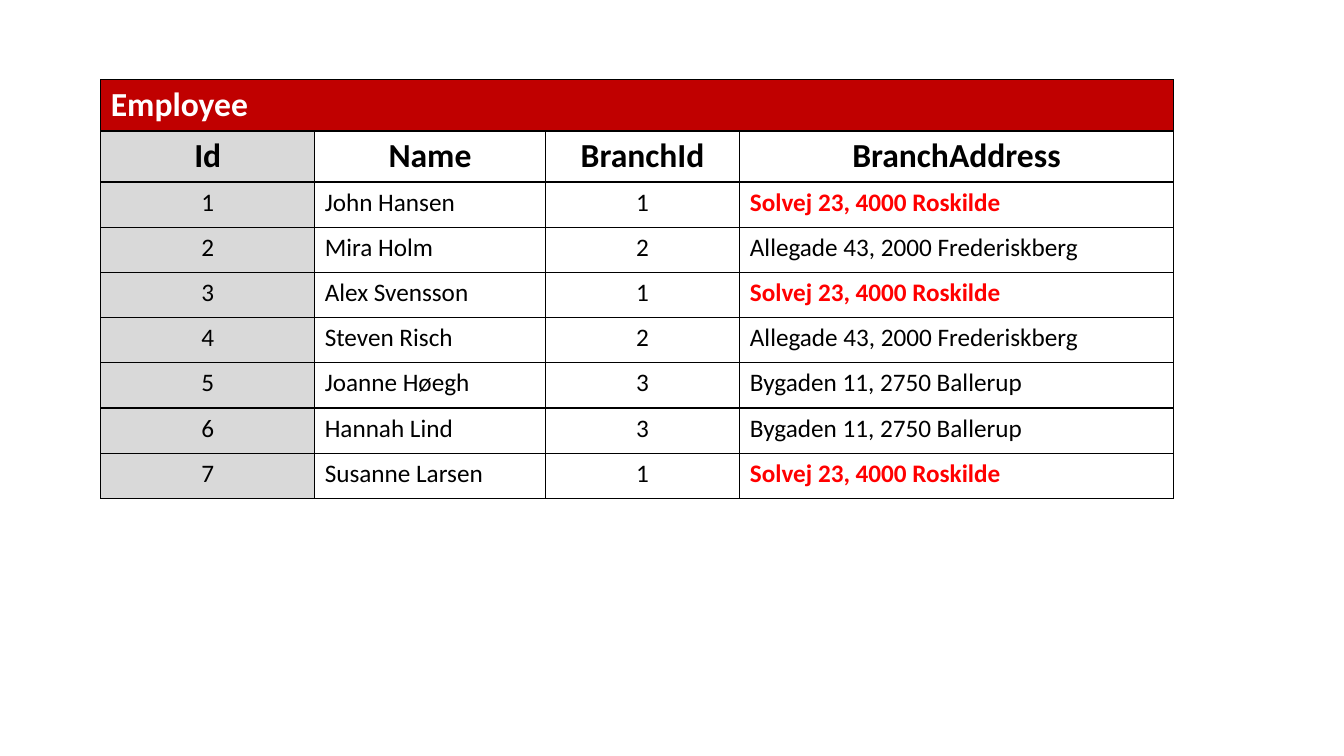
"""Build a slide with the Employee table, its repeated branch address marked in red."""
from dataclasses import dataclass

from lxml import etree
from pptx import Presentation
from pptx.dml.color import RGBColor
from pptx.enum.text import PP_ALIGN
from pptx.oxml.ns import qn
from pptx.util import Pt

LEFT, CENTER = PP_ALIGN.LEFT, PP_ALIGN.CENTER


@dataclass(frozen=True)
class Theme:
    font: str = "Calibri"
    heading_size: int = 24
    body_size: int = 18
    black: str = "000000"
    white: str = "FFFFFF"
    title_fill: str = "C00000"
    key_fill: str = "D9D9D9"
    marked: str = "FF0000"
    border_width: int = 1


THEME = Theme()
TITLE = "Employee"
HEADINGS = ["Id", "Name", "BranchId", "BranchAddress"]
ADDRESSES = {
    1: "Solvej 23, 4000 Roskilde",
    2: "Allegade 43, 2000 Frederiskberg",
    3: "Bygaden 11, 2750 Ballerup",
}
MARKED_BRANCH = 1
EMPLOYEES = [
    ("John Hansen", 1),
    ("Mira Holm", 2),
    ("Alex Svensson", 1),
    ("Steven Risch", 2),
    ("Joanne Høegh", 3),
    ("Hannah Lind", 3),
    ("Susanne Larsen", 1),
]
COLUMN_WIDTHS = [152.8, 164.8, 138.9, 309.6]
COLUMN_ALIGNMENTS = [CENTER, LEFT, CENTER, LEFT]
HEADING_HEIGHT, BODY_HEIGHT = 36.5, 32.3


def style_cell(cell, fill):
    """Fill a cell, or leave it clear, and draw its four borders."""
    if fill:
        cell.fill.solid()
        cell.fill.fore_color.rgb = RGBColor.from_string(fill)
    else:
        cell.fill.background()
    properties = cell._tc.get_or_add_tcPr()
    for position, side in enumerate(("a:lnL", "a:lnR", "a:lnT", "a:lnB")):
        line = etree.Element(qn(side), w=str(Pt(THEME.border_width)))
        solid = etree.SubElement(line, qn("a:solidFill"))
        etree.SubElement(solid, qn("a:srgbClr"), val=THEME.black)
        properties.insert(position, line)


def write_cell(cell, text, alignment, size, color, bold):
    """Put one styled paragraph in a cell."""
    cell.text = text
    para = cell.text_frame.paragraphs[0]
    para.alignment = alignment
    para.font.name = THEME.font
    para.font.size = Pt(size)
    para.font.bold = bold
    para.font.color.rgb = RGBColor.from_string(color)


deck = Presentation()
deck.slide_width, deck.slide_height = Pt(960), Pt(540)
page = deck.slides.add_slide(deck.slide_layouts[6])

row_heights = [HEADING_HEIGHT] * 2 + [BODY_HEIGHT] * len(EMPLOYEES)
table = page.shapes.add_table(
    len(row_heights), len(HEADINGS),
    Pt(72), Pt(57), Pt(sum(COLUMN_WIDTHS)), Pt(sum(row_heights)),
).table
table.first_row = False
table.horz_banding = False
for column, width in zip(table.columns, COLUMN_WIDTHS):
    column.width = Pt(width)
for row, height in zip(table.rows, row_heights):
    row.height = Pt(height)

for row_index, row in enumerate(table.rows):
    for column_index, cell in enumerate(row.cells):
        key_fill = THEME.key_fill if column_index == 0 else None
        style_cell(cell, THEME.title_fill if row_index == 0 else key_fill)

table.cell(0, 0).merge(table.cell(0, len(HEADINGS) - 1))
write_cell(table.cell(0, 0), TITLE, LEFT, THEME.heading_size, THEME.white, True)

for column_index, heading in enumerate(HEADINGS):
    write_cell(table.cell(1, column_index), heading, CENTER,
               THEME.heading_size, THEME.black, True)

for number, (name, branch) in enumerate(EMPLOYEES, start=1):
    values = [str(number), name, str(branch), ADDRESSES[branch]]
    for column_index, value in enumerate(values):
        marked = branch == MARKED_BRANCH and HEADINGS[column_index] == "BranchAddress"
        write_cell(table.cell(number + 1, column_index), value,
                   COLUMN_ALIGNMENTS[column_index], THEME.body_size,
                   THEME.marked if marked else THEME.black, marked)

deck.save("out.pptx")
